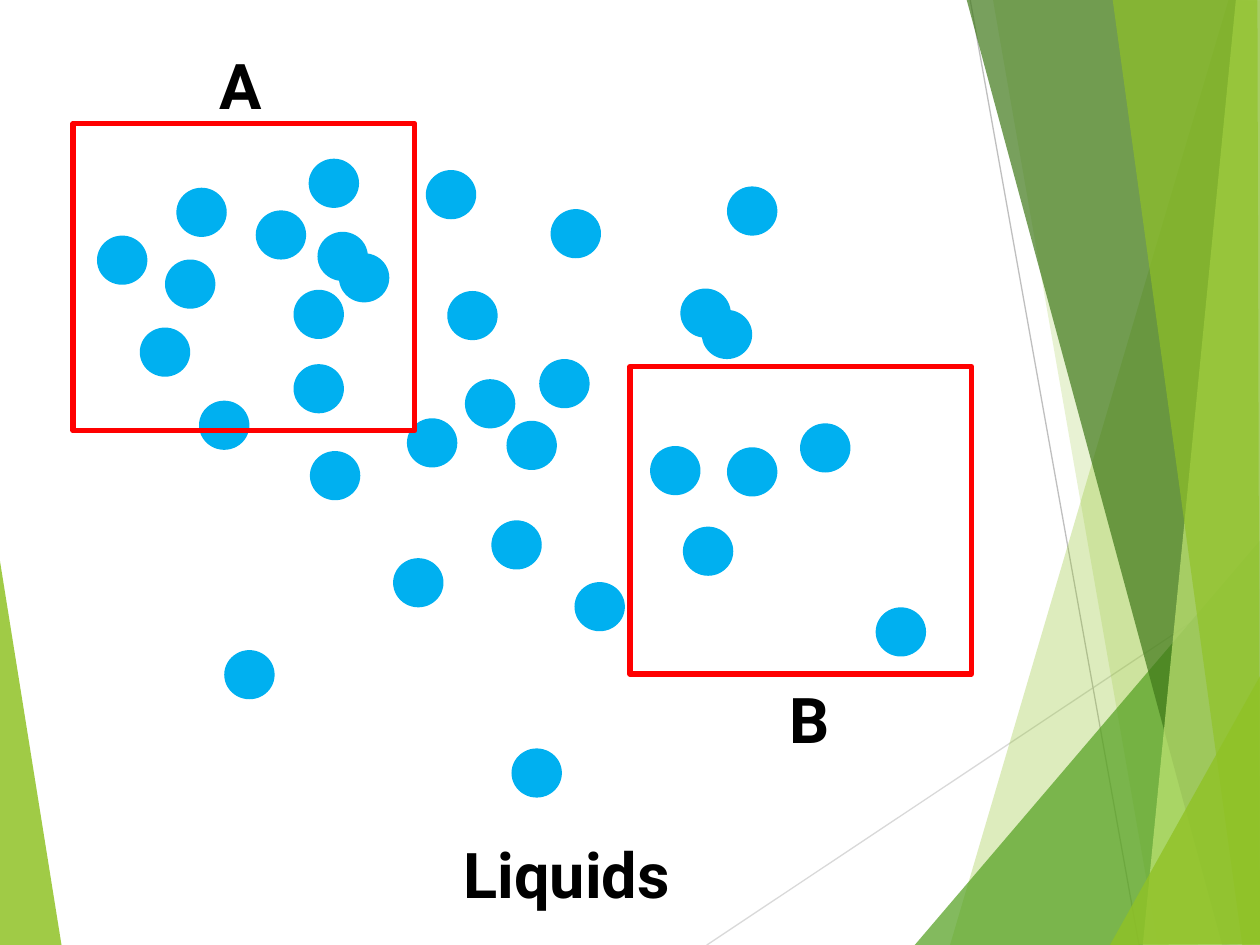
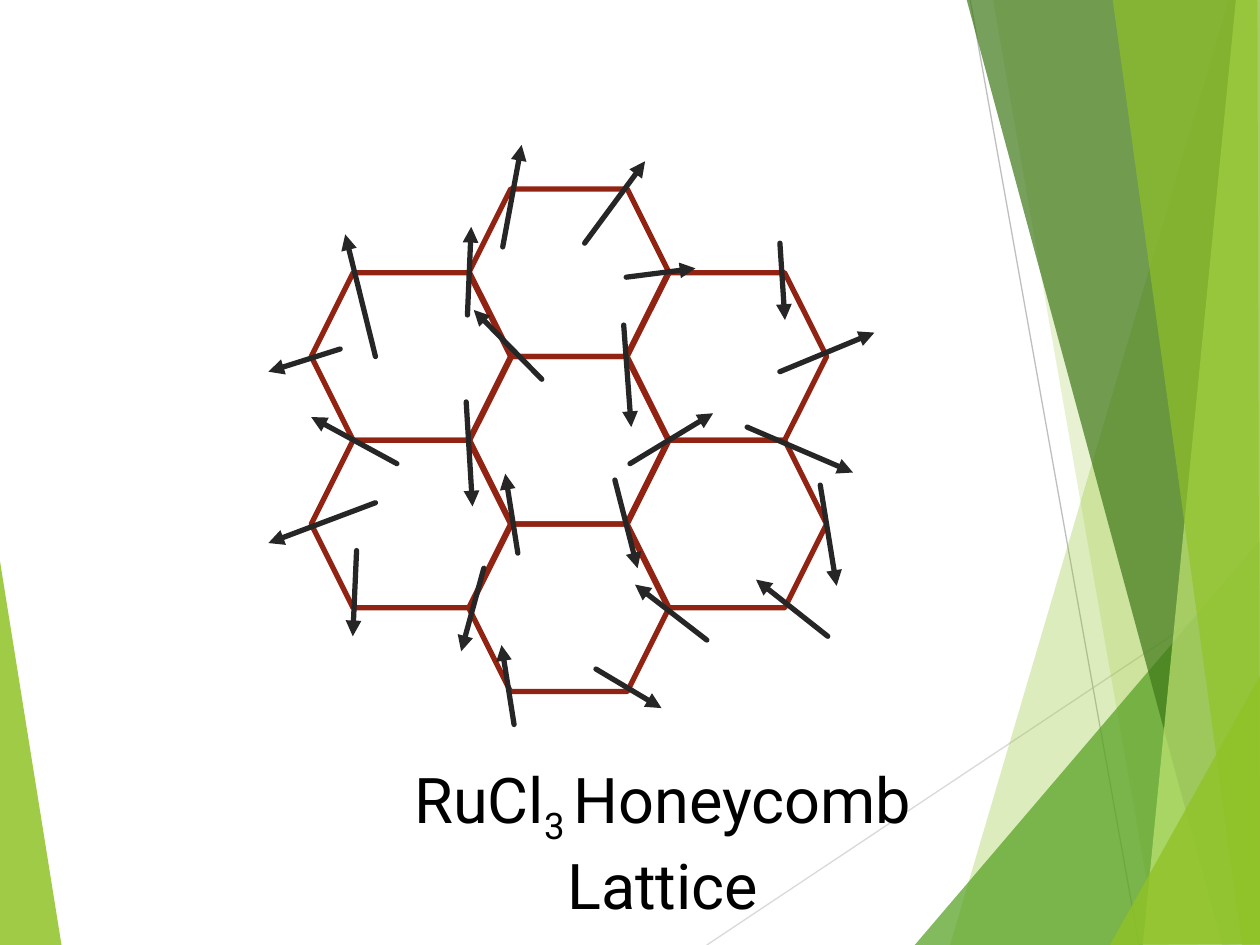
from typing import NamedTuple

from lxml import etree
from pptx import Presentation
from pptx.dml.color import RGBColor
from pptx.enum.shapes import MSO_CONNECTOR, MSO_SHAPE
from pptx.enum.text import MSO_AUTO_SIZE, PP_ALIGN
from pptx.oxml.ns import qn
from pptx.shapes.autoshape import Shape
from pptx.shapes.connector import Connector
from pptx.slide import Slide
from pptx.text.text import _Run
from pptx.util import Inches, Pt

STRAIGHT = MSO_CONNECTOR.STRAIGHT
RECTANGLE = MSO_SHAPE.RECTANGLE
OVAL = MSO_SHAPE.OVAL
HEXAGON = MSO_SHAPE.HEXAGON
FIT_SHAPE = MSO_AUTO_SIZE.SHAPE_TO_FIT_TEXT
LEFT = PP_ALIGN.LEFT
CENTER = PP_ALIGN.CENTER

LIME = RGBColor(0x90, 0xC2, 0x26)
GREEN = RGBColor(0x54, 0xA0, 0x21)
FOREST = RGBColor(0x3F, 0x78, 0x19)
PALE_LIME = RGBColor(0xC0, 0xE4, 0x74)
LIGHT_GREY = RGBColor(0xD9, 0xD9, 0xD9)
MID_GREY = RGBColor(0xBF, 0xBF, 0xBF)
RED = RGBColor(0xFF, 0x00, 0x00)
SKY = RGBColor(0x00, 0xB0, 0xF0)
BRICK = RGBColor(0x91, 0x23, 0x13)
CHARCOAL = RGBColor(0x26, 0x26, 0x26)
BLACK = RGBColor(0x00, 0x00, 0x00)

FONT = "Roboto"
LABEL_SIZE = Pt(36)
STROKE = 3
HAIRLINE = 0.75

Point = tuple[float, float]


class Band(NamedTuple):
    color: RGBColor
    opacity: int
    corners: list[Point]


class Ray(NamedTuple):
    start: Point
    end: Point
    color: RGBColor


class Spin(NamedTuple):
    tail: Point
    tip: Point


class Label(NamedTuple):
    text: str
    left: float
    top: float


class Region(NamedTuple):
    left: float
    top: float


LEFT_BAND = Band(LIME, 85, [(-0.01, 4.39), (0.49, 7.51), (-0.01, 7.5)])
RAYS = [
    Ray((5.61, 7.5), (10.01, 4.57), LIGHT_GREY),
    Ray((7.7, 0), (9.04, 7.5), MID_GREY),
]
RIGHT_BANDS = [
    Band(LIME, 30, [(9.75, 0), (7.54, 7.5), (10.02, 7.51), (10.01, 0.01)]),
    Band(LIME, 20, [(7.88, -0.01), (9.19, 7.5), (10.01, 7.5), (10.01, -0.01)]),
    Band(GREEN, 72, [(7.26, 7.5), (10, 4.29), (10.01, 7.5)]),
    Band(FOREST, 70, [(7.67, -0.01), (9.7, 7.5), (10.01, 7.49), (10.01, -0.01)]),
    Band(PALE_LIME, 70, [(9.81, -0.01), (9.07, 7.5), (10.01, 7.5), (10, -0.01)]),
    Band(LIME, 65, [(8.83, -0.01), (9.86, 7.5), (10, 7.5), (9.98, -0.01)]),
    Band(LIME, 80, [(8.81, 7.5), (10.01, 5.35), (10.01, 7.49)]),
]

REGION_WIDTH, REGION_HEIGHT = 2.71, 2.44
REGION_A = Region(0.58, 0.98)
REGION_B = Region(5, 2.91)
LABEL_WIDTH, LABEL_HEIGHT = 2.35, 0.71
LIQUID_LABELS = [
    Label("A", 1.64, 0.32),
    Label("B", 6.17, 5.35),
    Label("Liquids", 3.58, 6.58),
]
PARTICLE_WIDTH, PARTICLE_HEIGHT = 0.4, 0.39
PARTICLES: list[Point] = [
    (1.4, 1.49), (2.52, 1.84), (2.33, 2.3), (1.31, 2.06),
    (1.11, 2.6), (0.77, 1.87), (2.46, 3.58), (3.12, 4.43),
    (2.45, 1.26), (2.33, 2.89), (1.58, 3.18), (3.23, 3.32),
    (4.56, 4.62), (3.55, 2.31), (3.9, 4.13), (4.06, 5.94),
    (5.77, 1.48), (4.28, 2.85), (5.16, 3.54), (5.42, 4.18),
    (6.95, 4.82), (4.37, 1.66), (2.69, 2.01), (2.03, 1.67),
    (1.78, 5.16), (3.38, 1.35), (5.77, 3.55), (5.4, 2.29),
    (3.69, 3.01), (5.57, 2.46), (4.02, 3.34), (6.35, 3.36),
]

CELL_WIDTH, CELL_HEIGHT = 1.59, 1.33
COLUMN_PITCH = 1.25
LATTICE_LEFT, LATTICE_TOP = 2.47, 1.5
CELLS_PER_COLUMN = [2, 3, 2]
SPINS = [
    Spin((2.98, 2.83), (2.74, 1.86)),
    Spin((3.99, 1.96), (4.14, 1.15)),
    Spin((3.15, 3.68), (2.47, 3.31)),
    Spin((3.7, 3.19), (3.75, 4.02)),
    Spin((4.3, 3.01), (3.76, 2.46)),
    Spin((2.7, 2.77), (2.13, 2.95)),
    Spin((4.97, 2.2), (5.52, 2.13)),
    Spin((4.64, 1.93), (5.12, 1.28)),
    Spin((2.83, 4.37), (2.8, 5.05)),
    Spin((3.84, 4.51), (3.66, 5.17)),
    Spin((4.88, 3.81), (5.06, 4.51)),
    Spin((4.95, 2.58), (5.01, 3.39)),
    Spin((6.19, 1.93), (6.23, 2.54)),
    Spin((5.93, 3.39), (6.77, 3.75)),
    Spin((4.73, 5.31), (5.25, 5.62)),
    Spin((4.08, 5.75), (3.98, 5.12)),
    Spin((3.71, 2.5), (3.74, 1.8)),
    Spin((4.11, 4.39), (4.01, 3.76)),
    Spin((6.57, 5.05), (6, 4.6)),
    Spin((6.51, 3.85), (6.64, 4.65)),
    Spin((5.61, 5.08), (5.04, 4.64)),
    Spin((6.19, 2.95), (6.94, 2.64)),
    Spin((2.98, 3.99), (2.13, 4.31)),
    Spin((5, 3.68), (5.66, 3.28)),
]


def style_stroke(item: Shape | Connector, color: RGBColor, width: float) -> etree._Element:
    item.line.color.rgb = color
    item.line.width = Pt(width)
    stroke = item._element.spPr.find(qn("a:ln"))
    stroke.set("cap", "rnd")
    etree.SubElement(stroke, qn("a:round"))
    return stroke


def draw_line(slide: Slide, start: Point, end: Point, color: RGBColor,
              width: float, arrow: bool = False) -> None:
    ends = [Inches(value) for value in (*start, *end)]
    connector = slide.shapes.add_connector(STRAIGHT, *ends)
    stroke = style_stroke(connector, color, width)
    if arrow:
        etree.SubElement(stroke, qn("a:tailEnd"), type="triangle")
    etree.SubElement(connector._element.spPr, qn("a:effectLst"))


def draw_outline(slide: Slide, kind: MSO_SHAPE, left: float, top: float,
                 width: float, height: float, color: RGBColor) -> None:
    outline = slide.shapes.add_shape(
        kind, Inches(left), Inches(top), Inches(width), Inches(height))
    outline.shadow.inherit = False
    outline.fill.background()
    style_stroke(outline, color, STROKE)


def fill_plain(shape: Shape, color: RGBColor) -> None:
    shape.shadow.inherit = False
    shape.fill.solid()
    shape.fill.fore_color.rgb = color
    shape.line.fill.background()


def draw_band(slide: Slide, band: Band) -> None:
    first, *others = [(Inches(x), Inches(y)) for x, y in band.corners]
    builder = slide.shapes.build_freeform(*first)
    builder.add_line_segments(others)
    facet = builder.convert_to_shape()
    fill_plain(facet, band.color)
    tint = facet._element.spPr.find(qn("a:solidFill"))[0]
    etree.SubElement(tint, qn("a:alpha"), val=str(band.opacity * 1000))


def draw_backdrop(slide: Slide) -> None:
    draw_band(slide, LEFT_BAND)
    for ray in RAYS:
        draw_line(slide, ray.start, ray.end, ray.color, HAIRLINE)
    for band in RIGHT_BANDS:
        draw_band(slide, band)


def format_run(run: _Run, bold: bool) -> None:
    run.font.name = FONT
    run.font.size = LABEL_SIZE
    run.font.bold = bold
    run.font.color.rgb = BLACK


def draw_label(slide: Slide, label: Label, width: float = LABEL_WIDTH,
               height: float = LABEL_HEIGHT, bold: bool = True,
               align: PP_ALIGN = LEFT, subscript: str = "", rest: str = "") -> None:
    box = slide.shapes.add_textbox(
        Inches(label.left), Inches(label.top), Inches(width), Inches(height))
    frame = box.text_frame
    frame.word_wrap = True
    frame.auto_size = FIT_SHAPE
    frame.text = label.text
    paragraph = frame.paragraphs[0]
    paragraph.alignment = align
    if subscript:
        lowered = paragraph.add_run()
        lowered.text = subscript
        lowered._r.get_or_add_rPr().set("baseline", "-25000")
        paragraph.add_run().text = rest
    for run in paragraph.runs:
        format_run(run, bold)


def draw_region(slide: Slide, region: Region) -> None:
    draw_outline(slide, RECTANGLE, region.left, region.top,
                 REGION_WIDTH, REGION_HEIGHT, RED)


def build_liquids(slide: Slide) -> None:
    draw_backdrop(slide)
    draw_region(slide, REGION_B)
    for left, top in PARTICLES:
        particle = slide.shapes.add_shape(
            OVAL, Inches(left), Inches(top),
            Inches(PARTICLE_WIDTH), Inches(PARTICLE_HEIGHT))
        fill_plain(particle, SKY)
    draw_region(slide, REGION_A)
    for label in LIQUID_LABELS:
        draw_label(slide, label)


def build_honeycomb(slide: Slide) -> None:
    draw_backdrop(slide)
    tallest = max(CELLS_PER_COLUMN)
    for column, count in enumerate(CELLS_PER_COLUMN):
        left = LATTICE_LEFT + column * COLUMN_PITCH
        top = LATTICE_TOP + (tallest - count) * CELL_HEIGHT / 2
        for row in range(count):
            draw_outline(slide, HEXAGON, left, top + row * CELL_HEIGHT,
                         CELL_WIDTH, CELL_HEIGHT, BRICK)
    for spin in SPINS:
        draw_line(slide, spin.tail, spin.tip, CHARCOAL, STROKE, arrow=True)
    draw_label(slide, Label("RuCl", 2.89, 5.99), width=4.74, height=1.31,
               bold=False, align=CENTER, subscript="3 ", rest="Honeycomb Lattice")


def main() -> None:
    presentation = Presentation()
    presentation.slide_width = Inches(10)
    presentation.slide_height = Inches(7.5)
    blank = presentation.slide_layouts[6]
    for build in (build_liquids, build_honeycomb):
        build(presentation.slides.add_slide(blank))
    presentation.save("out.pptx")


if __name__ == "__main__":
    main()
